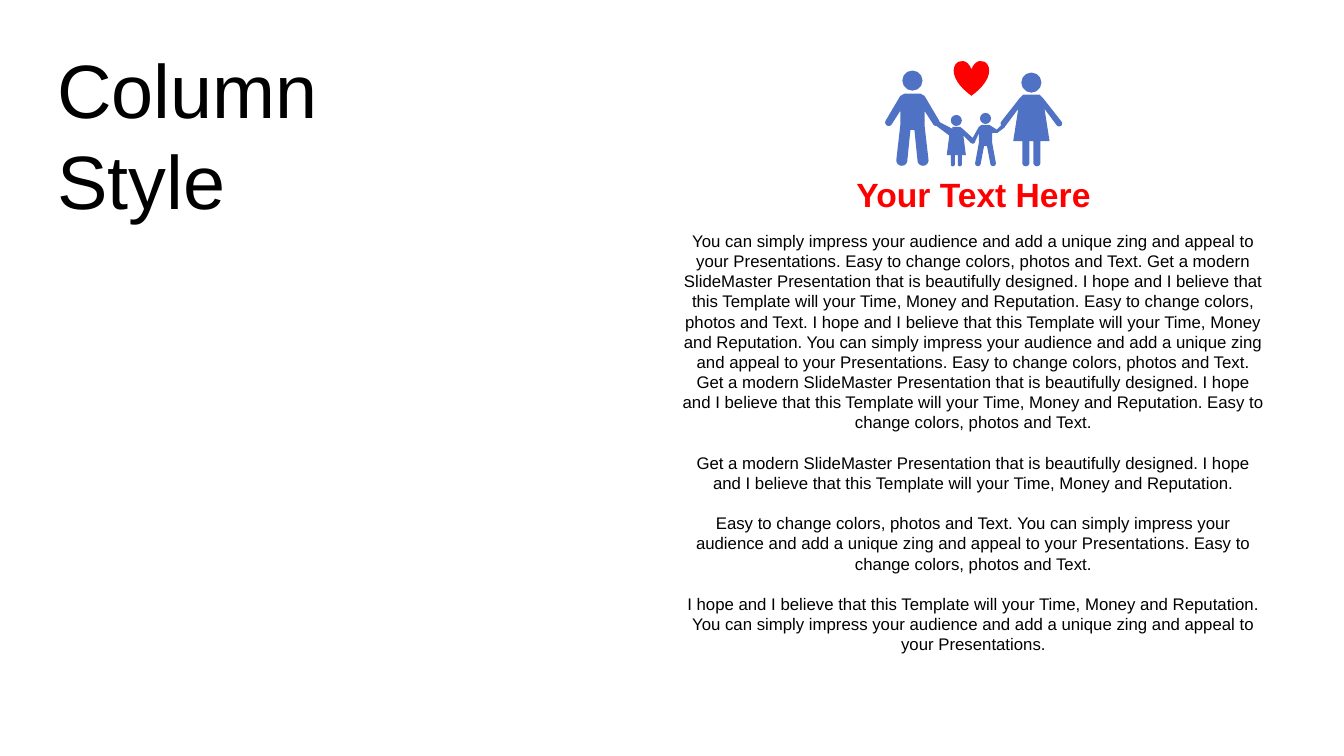
from dataclasses import dataclass
import math

from pptx import Presentation
from pptx import util as u
from pptx.dml.color import RGBColor
from pptx.enum import shapes, text

BLACK = RGBColor(0x00, 0x00, 0x00)
RED = RGBColor(0xFF, 0x00, 0x00)
BLUE = RGBColor(0x50, 0x72, 0xC4)
COLUMNS, ROWS = 1333, 750
CELL = u.Inches(0.01)
ARC_STEPS = 12

IMPRESS = "You can simply impress your audience and add a unique zing and appeal to your Presentations."
EASY = "Easy to change colors, photos and Text."
MODERN = "Get a modern SlideMaster Presentation that is beautifully designed."
HOPE = "I hope and I believe that this Template will your Time, Money and Reputation."
BODY = [
    [IMPRESS, EASY, MODERN, HOPE, EASY, HOPE, IMPRESS, EASY, MODERN, HOPE, EASY],
    [MODERN, HOPE],
    [EASY, IMPRESS, EASY],
    [HOPE, IMPRESS],
]


def arc(center, radius, start, stop):
    angles = [start + (stop - start) * step / ARC_STEPS for step in range(ARC_STEPS + 1)]
    return [(center[0] + radius * math.cos(a), center[1] + radius * math.sin(a)) for a in angles]


@dataclass
class Person:
    """Lengths run outwards from the spine and down from the top of the shoulders."""
    spine: float
    top: float
    head_radius: float
    head_rise: float
    neck: float
    shoulder: tuple
    arm_radius: float
    left_arm: list
    right_arm: list
    flank: list
    foot: tuple
    foot_radius: float
    crotch: tuple

    def arm(self, reach):
        joints = [self.shoulder, *reach]
        upper, lower = [], []
        for (x1, y1), (x2, y2) in zip(joints, joints[1:]):
            angle = math.atan2(y2 - y1, x2 - x1)
            across = self.arm_radius * math.sin(angle)
            along = self.arm_radius * math.cos(angle)
            upper.append((x1 + across, y1 - along))
            lower.insert(0, (x2 - across, y2 + along))
        hand = arc(joints[-1], self.arm_radius, angle - math.pi / 2, angle + math.pi / 2)
        return upper + hand + lower

    def half(self, reach, side):
        foot = arc(self.foot, self.foot_radius, 0, math.pi)
        points = [(self.neck, 0), *self.arm(reach), *self.flank, *foot, self.crotch]
        return [(self.spine + side * x, self.top + y) for x, y in points]

    def contours(self):
        body = self.half(self.right_arm, 1) + self.half(self.left_arm, -1)[::-1]
        head = arc((self.spine, self.top - self.head_rise), self.head_radius, 0, 2 * math.pi)
        return [body, head]


MOTHER = Person(
    spine=1023, top=94, head_radius=10, head_rise=12, neck=8,
    shoulder=(9, 5), arm_radius=3, left_arm=[(27.5, 28.5)], right_arm=[(27.5, 28.5)],
    flank=[(13, 14), (18, 46), (9, 46)], foot=(5.5, 67.5), foot_radius=3.5, crotch=(2, 46))
DAUGHTER = Person(
    spine=948.5, top=126, head_radius=5.5, head_rise=6.5, neck=4,
    shoulder=(5, 4), arm_radius=2.5, left_arm=[(17.5, -2.5)], right_arm=[(15.5, 13.5)],
    flank=[(7, 8.5), (9.5, 28), (5.5, 28)], foot=(3.5, 37), foot_radius=2, crotch=(1.5, 28))
SON = Person(
    spine=977.5, top=124, head_radius=5.5, head_rise=6.5, neck=4,
    shoulder=(5, 3), arm_radius=2, left_arm=[(12.5, 16.5)], right_arm=[(12.5, 6), (17.5, 1)],
    flank=[(6.5, 8), (6.5, 17)], foot=(7.5, 38), foot_radius=2.8, crotch=(1.5, 21))
FATHER = Person(
    spine=905, top=93, head_radius=10, head_rise=13, neck=8,
    shoulder=(9, 4), arm_radius=3.5, left_arm=[(23.5, 28.5)], right_arm=[(23.5, 28.5)],
    flank=[(12, 17), (12, 31)], foot=(10.5, 66), foot_radius=5.5, crotch=(2, 36))


def write(box, paragraphs, size, color=BLACK, bold=False, align=text.PP_ALIGN.CENTER, gap=0):
    for index, words in enumerate(paragraphs):
        para = box.text_frame.add_paragraph() if index else box.text_frame.paragraphs[0]
        para.alignment = align
        if index:
            para.space_before = u.Pt(gap)
        span = para.add_run()
        span.text = words
        span.font.name = "Arial"
        span.font.size = u.Pt(size)
        span.font.bold = bold
        span.font.color.rgb = color


class Board:
    def __init__(self, deck):
        self.slide = deck.slides.add_slide(deck.slide_layouts[6])

    def paint(self, shape, color):
        shape.shadow.inherit = False
        shape.fill.solid()
        shape.fill.fore_color.rgb = color
        shape.line.fill.background()

    def label(self, place, paragraphs, anchor=text.MSO_ANCHOR.TOP, **style):
        box = self.slide.shapes.add_textbox(*(CELL * cells for cells in place))
        box.text_frame.word_wrap = True
        box.text_frame.auto_size = text.MSO_AUTO_SIZE.SHAPE_TO_FIT_TEXT
        box.text_frame.vertical_anchor = anchor
        write(box, paragraphs, **style)

    def preset(self, kind, place, color):
        self.paint(self.slide.shapes.add_shape(kind, *(CELL * cells for cells in place)), color)

    def figure(self, person, color):
        body, head = [[(round(CELL * x), round(CELL * y)) for x, y in contour]
                      for contour in person.contours()]
        builder = self.slide.shapes.build_freeform(*body[0])
        builder.add_line_segments(body[1:], close=True)
        builder.move_to(*head[0])
        builder.add_line_segments(head[1:], close=True)
        self.paint(builder.convert_to_shape(), color)


def main():
    deck = Presentation()
    deck.slide_width, deck.slide_height = CELL * COLUMNS, CELL * ROWS
    board = Board(deck)
    board.label((47, 37, 313, 192), ["Column Style"], anchor=text.MSO_ANCHOR.MIDDLE,
                size=54, align=text.PP_ALIGN.LEFT)
    board.label((666, 224, 599, 434), [" ".join(sentences) for sentences in BODY],
                size=12, gap=14.4)
    board.label((666, 168, 599, 50), ["Your Text Here"], size=24, color=RED, bold=True)
    for person in (MOTHER, DAUGHTER, SON, FATHER):
        board.figure(person, BLUE)
    board.preset(shapes.MSO_SHAPE.HEART, (946, 60, 35, 35), RED)
    deck.save("out.pptx")


if __name__ == "__main__":
    main()
